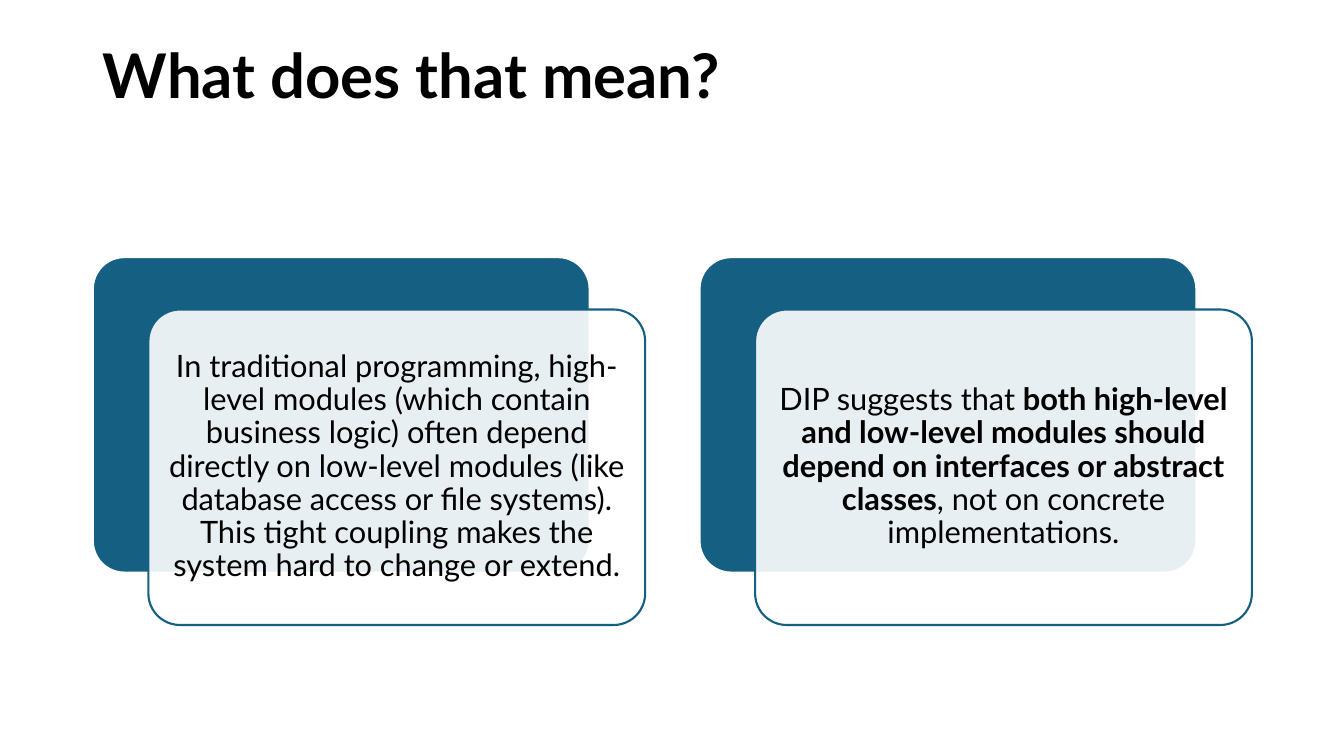
from pptx import Presentation
from pptx.dml.color import RGBColor
from pptx.enum.shapes import MSO_SHAPE as Shape
from pptx.enum.text import MSO_ANCHOR as Anchor, MSO_AUTO_SIZE as AutoSize, PP_ALIGN as Align
from pptx.oxml.ns import qn
from pptx.util import Cm, Pt
from lxml import etree

FONT = "Lato"
BLUE, WHITE, BLACK = "156082", "FFFFFF", "000000"

# Each card is a list of (text, bold) runs
CARDS = [
    [("In traditional programming, high-level modules (which contain business logic) "
      "often depend directly on low-level modules (like database access or file systems). "
      "This tight coupling makes the system hard to change or extend.", False)],
    [("DIP suggests that ", False),
     ("both high-level and low-level modules should depend on interfaces "
      "or abstract classes", True),
     (", not on concrete implementations.", False)],
]


def rgb(value):
    return RGBColor.from_string(value)


def format_run(r, size, bold):
    r.font.name = FONT
    r.font.size = Pt(size)
    r.font.bold = bold
    r.font.color.rgb = rgb(BLACK)


def add_title(s, text, left, top, width, height):
    title = s.shapes.title
    title.left, title.top, title.width, title.height = map(Cm, (left, top, width, height))
    tf = title.text_frame
    tf.text = text
    tf.word_wrap = True
    tf.auto_size = AutoSize.NONE
    tf.vertical_anchor = Anchor.TOP
    p = tf.paragraphs[0]
    p.alignment = Align.LEFT
    p.line_spacing = 0.9
    format_run(p.runs[0], 44, True)


def add_panel(s, left, top, width, height, fill, line):
    sp = s.shapes.add_shape(Shape.ROUNDED_RECTANGLE, Cm(left), Cm(top), Cm(width), Cm(height))
    sp.adjustments[0] = 0.1
    sp.shadow.inherit = False
    sp.fill.solid()
    sp.fill.fore_color.rgb = rgb(fill)
    sp.line.color.rgb = rgb(line)
    sp.line.width = Pt(1.5)
    return sp


def set_opacity(sp, percent):
    color = sp.fill._xPr.find(qn("a:solidFill"))[0]
    etree.SubElement(color, qn("a:alpha")).set("val", str(percent * 1000))


def add_card(s, runs, left, top, width, height):
    # Solid panel behind, translucent panel in front, overlapping inside the box
    dx, dy = 1.4, 1.32
    panel = width - dx, height - dy
    add_panel(s, left, top, *panel, BLUE, WHITE)
    front = add_panel(s, left + dx, top + dy, *panel, WHITE, BLUE)
    set_opacity(front, 90)

    # Card text
    tf = front.text_frame
    tf.word_wrap = True
    tf.vertical_anchor = Anchor.MIDDLE
    tf.margin_left = tf.margin_right = tf.margin_top = tf.margin_bottom = Cm(0.23)
    p = tf.paragraphs[0]
    p.alignment = Align.CENTER
    p.line_spacing = 0.9
    for text, bold in runs:
        r = p.add_run()
        r.text = text
        format_run(r, 22, bold)


def main():
    prs = Presentation()
    prs.slide_width, prs.slide_height = Cm(33.87), Cm(19.05)
    s = prs.slides.add_slide(prs.slide_layouts[5])

    left, width, gap = 2.34, 29.21, 1.37
    add_title(s, "What does that mean?", left, 1.02, width, 3.68)

    # Two equal cards across the content width
    card_width = (width - gap * (len(CARDS) - 1)) / len(CARDS)
    for i, runs in enumerate(CARDS):
        add_card(s, runs, left + i * (card_width + gap), 6.48, card_width, 9.27)

    prs.save("out.pptx")


if __name__ == "__main__":
    main()
